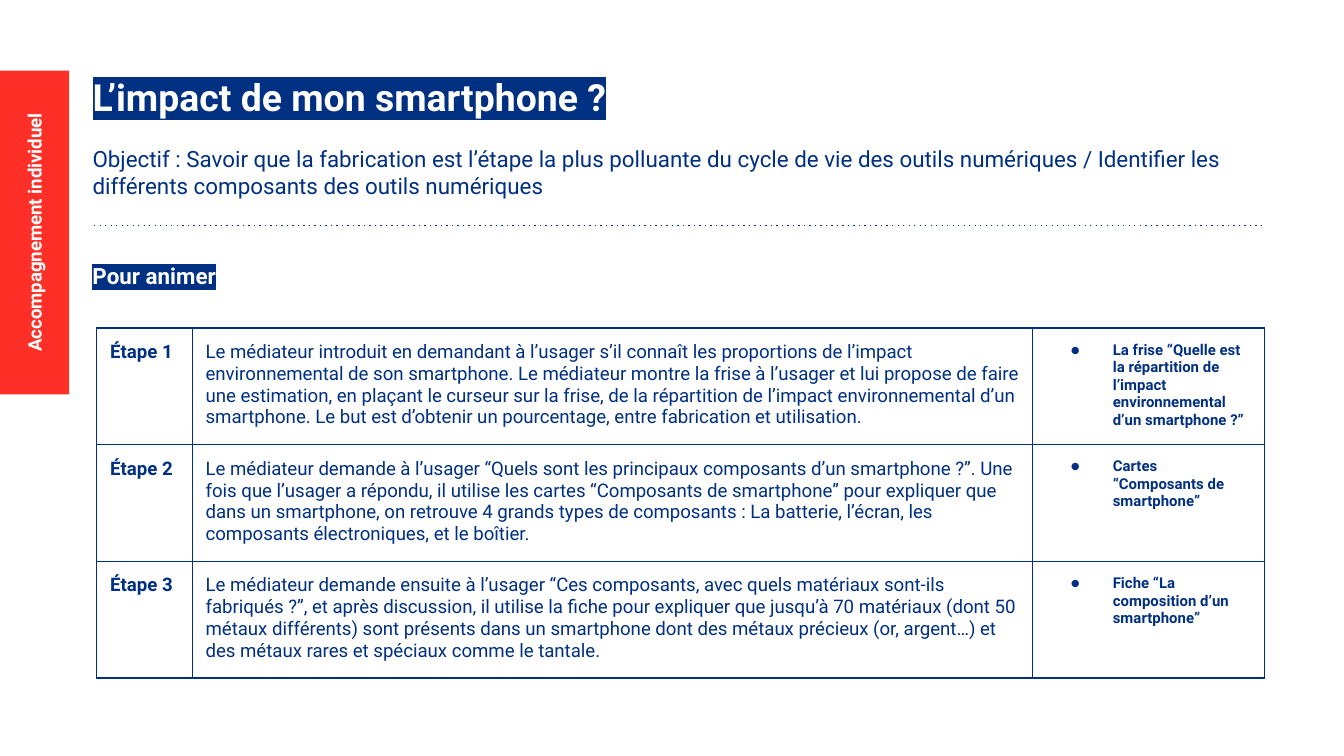
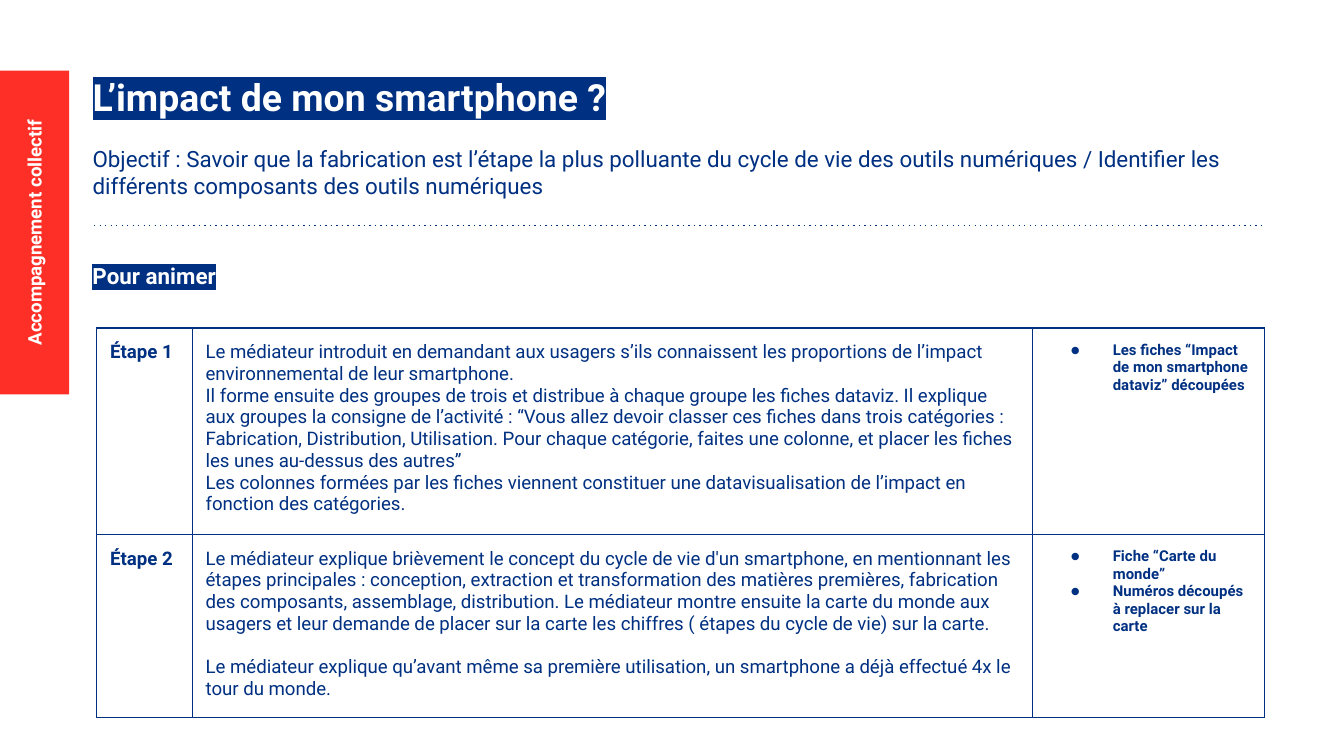
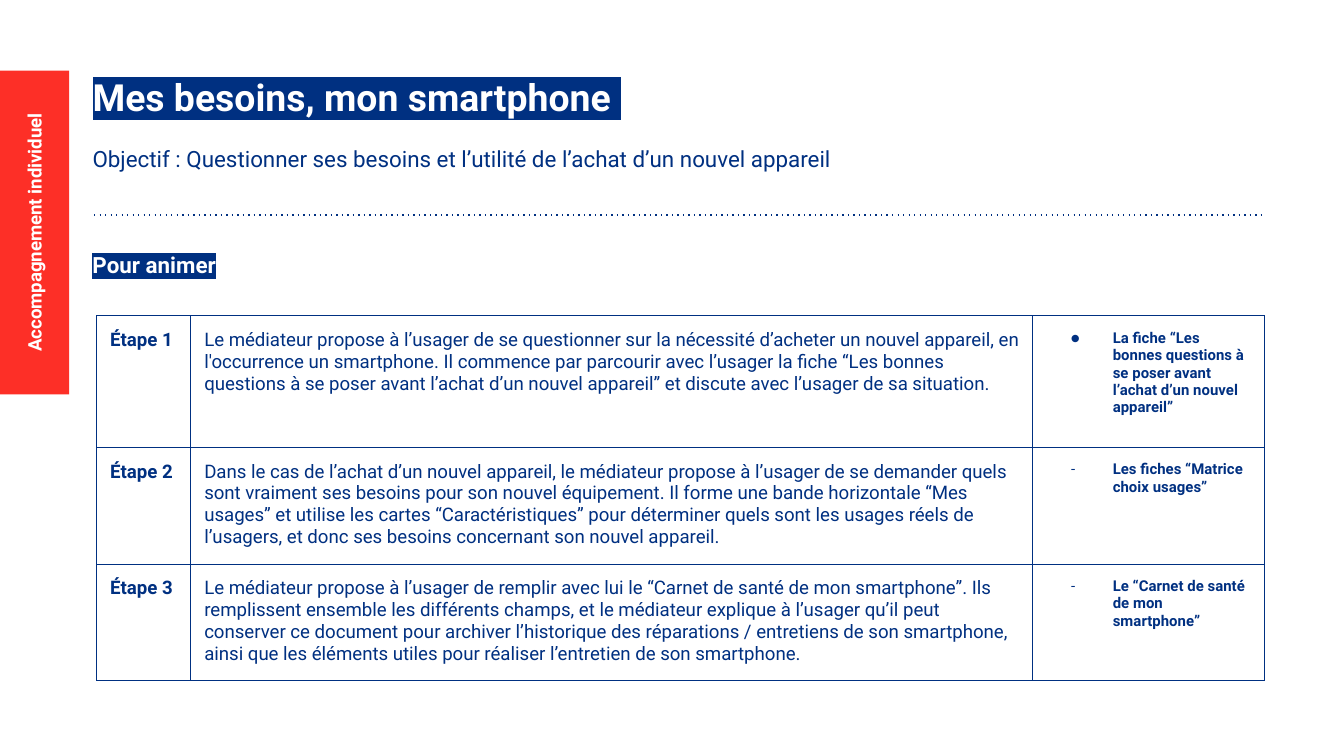
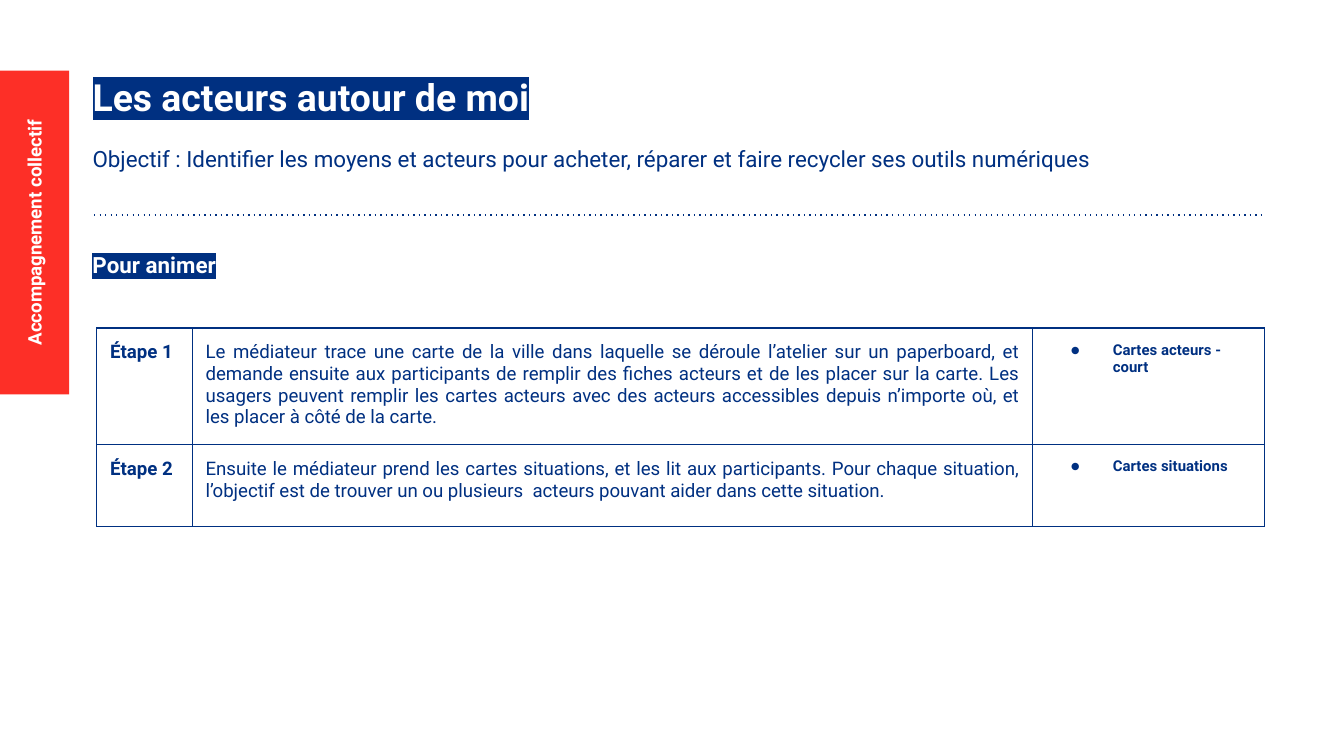
from dataclasses import dataclass

from lxml import etree
from pptx import Presentation
from pptx.dml.color import RGBColor
from pptx.enum.shapes import MSO_CONNECTOR, MSO_SHAPE
from pptx.enum.text import MSO_ANCHOR, PP_ALIGN
from pptx.oxml.ns import qn
from pptx.slide import Slide
from pptx.table import _Cell
from pptx.text.text import TextFrame, _Paragraph
from pptx.util import Inches, Pt

STRAIGHT = MSO_CONNECTOR.STRAIGHT
RECTANGLE = MSO_SHAPE.RECTANGLE
MIDDLE = MSO_ANCHOR.MIDDLE
CENTER = PP_ALIGN.CENTER
JUSTIFY = PP_ALIGN.JUSTIFY

FONT = "Roboto"
NAVY = "003081"
RED = "FD2F27"
WHITE = "FFFFFF"
INSET = Inches(0.1)
LINE_WIDTH = Pt(0.75)
BODY_SIZE = 10
MATERIAL_SIZE = 8
TITLE_GAP = 14
BLANK_LINE = 11.7
DISC = "●"
DASH = "-"
BULLET_PERCENT = {DISC: 65, DASH: 100}


@dataclass(frozen=True)
class Step:
    paragraphs: tuple[str, ...]
    materials: tuple[str, ...]
    height: float = 0.61
    bullet: str = DISC
    gap: float = 0


@dataclass(frozen=True)
class Activity:
    audience: str
    title: str
    goal: str
    steps: tuple[Step, ...]
    rule_top: float = 1.6
    table_top: float = 2.44
    columns: tuple[float, float, float] = (0.71, 6.25, 1.73)
    justified: bool = False


SMARTPHONE_TITLE = "L’impact de mon smartphone ?"
SMARTPHONE_GOAL = (
    "Savoir que la fabrication est l’étape la plus polluante du cycle de vie "
    "des outils numériques / Identifier les différents composants des outils numériques"
)

ACTIVITIES = (
    Activity(
        "individuel", SMARTPHONE_TITLE, SMARTPHONE_GOAL,
        (
            Step(
                ("Le médiateur introduit en demandant à l’usager s’il connaît les proportions de "
                 "l’impact environnemental de son smartphone. Le médiateur montre la frise à "
                 "l’usager et lui propose de faire une estimation, en plaçant le curseur sur la "
                 "frise, de la répartition de l’impact environnemental d’un smartphone. Le but "
                 "est d’obtenir un pourcentage, entre fabrication et utilisation.",),
                ("La frise “Quelle est la répartition de l’impact environnemental "
                 "d’un smartphone ?”",),
            ),
            Step(
                ("Le médiateur demande à l’usager “Quels sont les principaux composants d’un "
                 "smartphone ?”. Une fois que l’usager a répondu, il utilise les cartes "
                 "“Composants de smartphone” pour expliquer que dans un smartphone, on retrouve "
                 "4 grands types de composants : La batterie, l’écran, les composants "
                 "électroniques, et le boîtier.",),
                ("Cartes “Composants de smartphone”",),
            ),
            Step(
                ("Le médiateur demande ensuite à l’usager “Ces composants, avec quels matériaux "
                 "sont-ils fabriqués ?”, et après discussion, il utilise la fiche pour expliquer "
                 "que jusqu’à 70 matériaux (dont 50 métaux différents) sont présents dans un "
                 "smartphone dont des métaux précieux (or, argent…) et des métaux rares et "
                 "spéciaux comme le tantale.",),
                ("Fiche “La composition d’un smartphone”",),
            ),
        ),
        rule_top=1.68,
    ),
    Activity(
        "collectif", SMARTPHONE_TITLE, SMARTPHONE_GOAL,
        (
            Step(
                ("Le médiateur introduit en demandant aux usagers s’ils connaissent les "
                 "proportions de l’impact environnemental de leur smartphone.",
                 "Il forme ensuite des groupes de trois et distribue à chaque groupe les fiches "
                 "dataviz. Il explique aux groupes la consigne de l’activité : “Vous allez devoir "
                 "classer ces fiches dans trois catégories : Fabrication, Distribution, "
                 "Utilisation. Pour chaque catégorie, faites une colonne, et placer les fiches "
                 "les unes au-dessus des autres”",
                 "Les colonnes formées par les fiches viennent constituer une datavisualisation "
                 "de l’impact en fonction des catégories."),
                ("Les fiches “Impact de mon smartphone dataviz” découpées",),
            ),
            Step(
                ("Le médiateur explique brièvement le concept du cycle de vie d'un smartphone, "
                 "en mentionnant les étapes principales : conception, extraction et "
                 "transformation des matières premières, fabrication des composants, assemblage, "
                 "distribution. Le médiateur montre ensuite la carte du monde aux usagers et leur "
                 "demande de placer sur la carte les chiffres ( étapes du cycle de vie) sur la "
                 "carte.",
                 "Le médiateur explique qu’avant même sa première utilisation, un smartphone a "
                 "déjà effectué 4x le tour du monde."),
                ("Fiche “Carte du monde”", "Numéros découpés à replacer sur la carte"),
                gap=BLANK_LINE,
            ),
        ),
        rule_top=1.68,
    ),
    Activity(
        "individuel", "Mes besoins, mon smartphone ",
        "Questionner ses besoins et l’utilité de l’achat d’un nouvel appareil",
        (
            Step(
                ("Le médiateur propose à l’usager de se questionner sur la nécessité d’acheter "
                 "un nouvel appareil, en l'occurrence un smartphone. Il commence par parcourir "
                 "avec l’usager la fiche “Les bonnes questions à se poser avant l’achat d’un "
                 "nouvel appareil” et discute avec l’usager de sa situation.",),
                ("La fiche “Les bonnes questions à se poser avant l’achat d’un nouvel appareil”",),
                height=0.98,
            ),
            Step(
                ("Dans le cas de l’achat d’un nouvel appareil, le médiateur propose à l’usager "
                 "de se demander quels sont vraiment ses besoins pour son nouvel équipement. Il "
                 "forme une bande horizontale “Mes usages” et utilise les cartes "
                 "“Caractéristiques” pour déterminer quels sont les usages réels de l’usagers, "
                 "et donc ses besoins concernant son nouvel appareil.",),
                ("Les fiches “Matrice choix usages”",),
                height=0.77, bullet=DASH,
            ),
            Step(
                ("Le médiateur propose à l’usager de remplir avec lui le “Carnet de santé de mon "
                 "smartphone”. Ils remplissent ensemble les différents champs, et le médiateur "
                 "explique à l’usager qu’il peut conserver ce document pour archiver "
                 "l’historique des réparations / entretiens de son smartphone, ainsi que les "
                 "éléments utiles pour réaliser l’entretien de son smartphone.",),
                ("Le “Carnet de santé de mon smartphone”",),
                height=0.77, bullet=DASH,
            ),
        ),
        table_top=2.35, columns=(0.7, 6.26, 1.73),
    ),
    Activity(
        "collectif", "Les acteurs autour de moi",
        "Identifier les moyens et acteurs pour acheter, réparer et faire recycler ses outils "
        "numériques",
        (
            Step(
                ("Le médiateur trace une carte de la ville dans laquelle se déroule l’atelier "
                 "sur un paperboard, et demande ensuite aux participants de remplir des fiches "
                 "acteurs et de les placer sur la carte. Les usagers peuvent remplir les cartes "
                 "acteurs avec des acteurs accessibles depuis n’importe où, et les placer à côté "
                 "de la carte.",),
                ("Cartes acteurs - court",),
            ),
            Step(
                ("Ensuite le médiateur prend les cartes situations, et les lit aux participants. "
                 "Pour chaque situation, l’objectif est de trouver un ou plusieurs  acteurs "
                 "pouvant aider dans cette situation.",),
                ("Cartes situations",),
            ),
        ),
        justified=True,
    ),
)


def rgb(color: str) -> RGBColor:
    return RGBColor.from_string(color)


def add_color(parent: etree._Element, tag: str, color: str) -> etree._Element:
    node = etree.SubElement(parent, qn(tag))
    etree.SubElement(node, qn("a:srgbClr"), val=color)
    return node


def write(p: _Paragraph, text: str, size: float, color: str = NAVY,
          bold: bool = False, highlight: str = "") -> None:
    p.text = text
    for r in p.runs:
        r.font.size = Pt(size)
        r.font.bold = bold
        r.font.color.rgb = rgb(color)
        if highlight:
            add_color(r.font._element, "a:highlight", highlight)
        r.font.name = FONT


def add_paragraphs(tf: TextFrame, count: int) -> list[_Paragraph]:
    return [tf.paragraphs[0]] + [tf.add_paragraph() for _ in range(count - 1)]


def set_insets(box: TextFrame | _Cell) -> None:
    box.margin_left = box.margin_right = INSET
    box.margin_top = box.margin_bottom = INSET


def add_text_box(slide: Slide, top: float, width: float, height: float) -> TextFrame:
    sp = slide.shapes.add_textbox(Inches(0.59), Inches(top), Inches(width), Inches(height))
    tf = sp.text_frame
    tf.word_wrap = True
    set_insets(tf)
    return tf


def add_heading(slide: Slide, activity: Activity) -> None:
    tf = add_text_box(slide, 0.45, 8.82, 0.87)
    title, goal = add_paragraphs(tf, 2)
    write(title, activity.title, 20, WHITE, True, NAVY)
    write(goal, f"Objectif : {activity.goal}", 12)
    goal.space_before = Pt(TITLE_GAP)


def add_audience_tab(slide: Slide, audience: str) -> None:
    sp = slide.shapes.add_shape(RECTANGLE, Inches(-0.95), Inches(1.47),
                                Inches(2.41), Inches(0.52))
    sp.rotation = 270
    sp.shadow.inherit = False
    sp.fill.solid()
    sp.fill.fore_color.rgb = rgb(RED)
    sp.line.fill.background()
    tf = sp.text_frame
    tf.word_wrap = True
    tf.vertical_anchor = MIDDLE
    set_insets(tf)
    p = tf.paragraphs[0]
    p.alignment = CENTER
    write(p, f"Accompagnement {audience}", BODY_SIZE, WHITE, True)


def add_dotted_rule(slide: Slide, top: float) -> None:
    rule = slide.shapes.add_connector(STRAIGHT, Inches(0.7), Inches(top),
                                      Inches(9.39), Inches(top))
    rule.line.color.rgb = rgb(NAVY)
    rule.line.width = LINE_WIDTH
    sp_pr = rule._element.spPr
    etree.SubElement(sp_pr.find(qn("a:ln")), qn("a:prstDash"), val="dot")
    etree.SubElement(sp_pr, qn("a:effectLst"))


def add_bullet(p: _Paragraph, mark: str) -> None:
    p_pr = p._p.get_or_add_pPr()
    p_pr.set("marL", str(Inches(0.5)))
    p_pr.set("indent", str(Inches(-0.31)))
    add_color(p_pr, "a:buClr", NAVY)
    etree.SubElement(p_pr, qn("a:buSzPct"), val=str(BULLET_PERCENT[mark] * 1000))
    etree.SubElement(p_pr, qn("a:buFont"), typeface=FONT)
    etree.SubElement(p_pr, qn("a:buChar"), char=mark)


def style_cell(cell: _Cell) -> None:
    set_insets(cell)
    tc_pr = cell._tc.get_or_add_tcPr()
    for side in ("a:lnL", "a:lnR", "a:lnT", "a:lnB"):
        ln = etree.SubElement(tc_pr, qn(side), w=str(LINE_WIDTH))
        add_color(ln, "a:solidFill", NAVY)
    cell.fill.background()


def add_steps_table(slide: Slide, activity: Activity) -> None:
    steps = activity.steps
    frame = slide.shapes.add_table(
        len(steps), len(activity.columns), Inches(0.72), Inches(activity.table_top),
        Inches(sum(activity.columns)), Inches(sum(step.height for step in steps)))
    table = frame.table
    table.first_row = False
    table.horz_banding = False
    for column, width in zip(table.columns, activity.columns):
        column.width = Inches(width)
    for number, (row, step) in enumerate(zip(table.rows, steps), 1):
        row.height = Inches(step.height)
        label, description, materials = row.cells
        for cell in row.cells:
            style_cell(cell)
        write(label.text_frame.paragraphs[0], f"Étape {number}", BODY_SIZE, bold=True)
        paragraphs = add_paragraphs(description.text_frame, len(step.paragraphs))
        for p, text in zip(paragraphs, step.paragraphs):
            write(p, text, BODY_SIZE)
            if activity.justified:
                p.alignment = JUSTIFY
        for p in paragraphs[1:]:
            p.space_before = Pt(step.gap)
        items = add_paragraphs(materials.text_frame, len(step.materials))
        for p, text in zip(items, step.materials):
            add_bullet(p, step.bullet)
            write(p, text, MATERIAL_SIZE, bold=True)


def add_activity(slide: Slide, activity: Activity) -> None:
    add_heading(slide, activity)
    add_audience_tab(slide, activity.audience)
    add_dotted_rule(slide, activity.rule_top)
    tf = add_text_box(slide, activity.rule_top + 0.17, 8.74, 0.58)
    write(tf.paragraphs[0], "Pour animer", 12, WHITE, True, NAVY)
    add_steps_table(slide, activity)


def main() -> None:
    prs = Presentation()
    prs.slide_width = Inches(10)
    prs.slide_height = Inches(10 * 9 / 16)
    blank = prs.slide_layouts[6]
    for activity in ACTIVITIES:
        add_activity(prs.slides.add_slide(blank), activity)
    prs.save("out.pptx")


if __name__ == "__main__":
    main()
